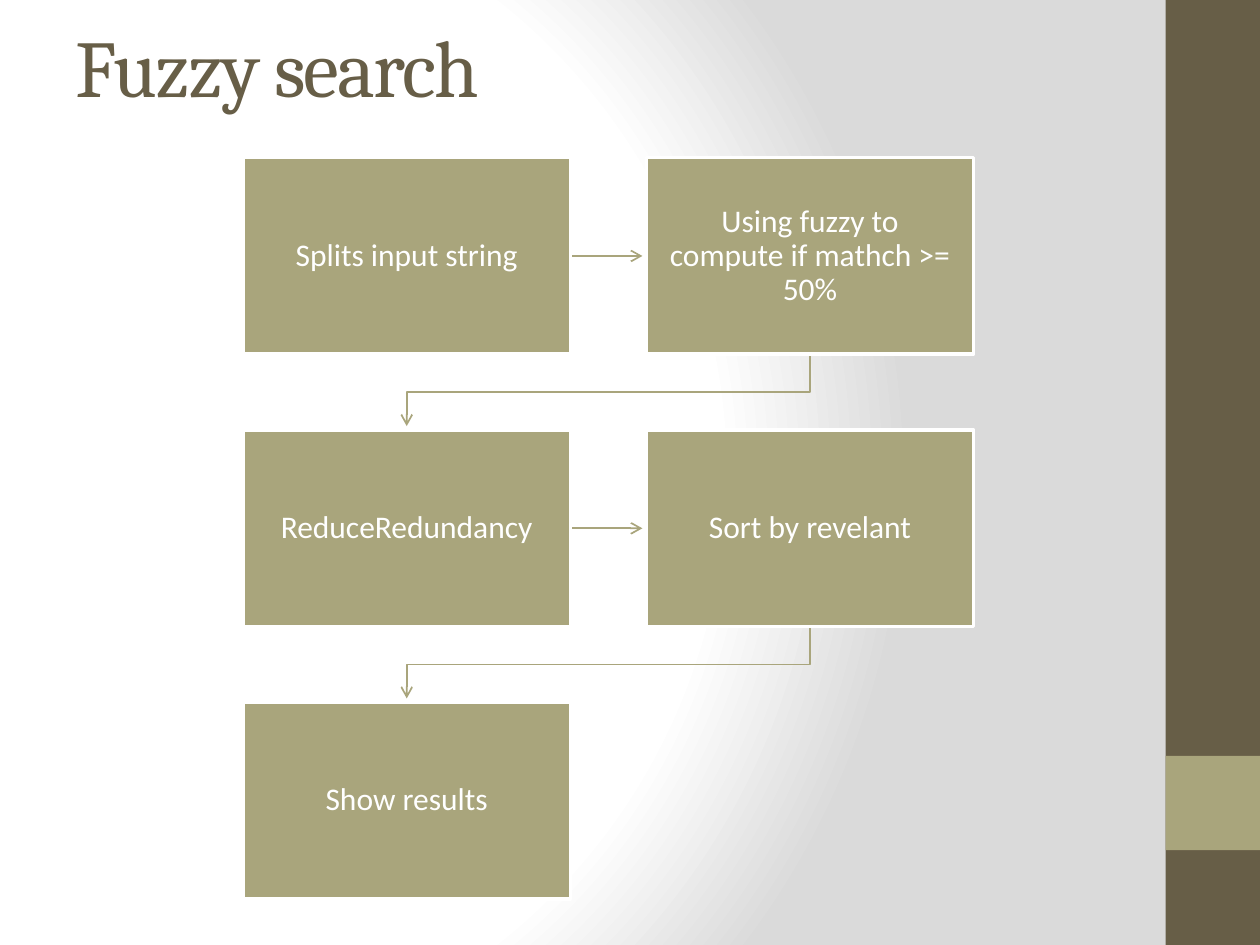
from dataclasses import dataclass
from itertools import pairwise

from pptx import Presentation
from pptx.dml.color import RGBColor
from pptx.enum.shapes import MSO_CONNECTOR, MSO_SHAPE
from pptx.enum.text import MSO_ANCHOR, PP_ALIGN
from pptx.oxml import parse_xml
from pptx.oxml.ns import nsdecls, qn
from pptx.oxml.xmlchemy import OxmlElement
from pptx.shapes.autoshape import Shape
from pptx.shapes.connector import Connector
from pptx.slide import Slide
from pptx.util import Cm, Pt

RECTANGLE = MSO_SHAPE.RECTANGLE
STRAIGHT = MSO_CONNECTOR.STRAIGHT
MIDDLE = MSO_ANCHOR.MIDDLE
CENTER, LEFT = PP_ALIGN.CENTER, PP_ALIGN.LEFT
RIGHT_SIDE = 3

BROWN, OLIVE, WHITE, GREY = "675E47", "A9A57C", "FFFFFF", "DADADA"
SLIDE_WIDTH, SLIDE_HEIGHT = Cm(25.4), Cm(19.05)
BAND_LEFT, BAND_WIDTH = Cm(23.5), Cm(1.9)
COLUMNS = 2
GRID_LEFT, GRID_TOP = Cm(4.9), Cm(3.18)
STEP_WIDTH, STEP_HEIGHT = Cm(6.6), Cm(3.96)
COLUMN_PITCH, ROW_PITCH = Cm(8.13), Cm(5.49)
ARROW_CLEARANCE = Cm(0.08)


@dataclass
class Step:
    text: str
    column: int
    row: int

    @property
    def left(self) -> int:
        return GRID_LEFT + self.column * COLUMN_PITCH

    @property
    def top(self) -> int:
        return GRID_TOP + self.row * ROW_PITCH

    @property
    def center(self) -> int:
        return self.left + STEP_WIDTH // 2

    @property
    def bottom(self) -> int:
        return self.top + STEP_HEIGHT


STEP_TEXTS = [
    "Splits input string",
    "Using fuzzy to compute if mathch >= 50%",
    "ReduceRedundancy",
    "Sort by revelant",
    "Show results",
]


def color(value: str) -> RGBColor:
    return RGBColor.from_string(value)


def paint_background(slide: Slide) -> None:
    slide.background.fill.gradient()
    gradient = slide.element.find(".//" + qn("a:gradFill"))
    stops = "".join(
        f'<a:gs pos="{percent * 1000}"><a:srgbClr val="{tone}"/></a:gs>'
        for percent, tone in [(0, WHITE), (75, WHITE), (100, GREY)]
    )
    radial = parse_xml(
        f'<a:gradFill rotWithShape="1" {nsdecls("a")}><a:gsLst>{stops}</a:gsLst>'
        '<a:path path="circle"><a:fillToRect l="20000" t="50000" r="100000" b="50000"/>'
        "</a:path></a:gradFill>"
    )
    gradient.getparent().replace(gradient, radial)


def add_rectangle(
    slide: Slide, left: int, top: int, width: int, height: int, fill: str
) -> Shape:
    rectangle = slide.shapes.add_shape(RECTANGLE, left, top, width, height)
    rectangle.shadow.inherit = False
    rectangle.fill.solid()
    rectangle.fill.fore_color.rgb = color(fill)
    rectangle.line.fill.background()
    return rectangle


def add_title(slide: Slide, text: str) -> None:
    title = slide.shapes.title
    title.left, title.top, title.width, title.height = Cm(1.27), Cm(0.2), Cm(21.16), Cm(2.24)
    title.text_frame.text = text
    title.text_frame.vertical_anchor = MIDDLE
    heading = title.text_frame.paragraphs[0]
    heading.alignment = LEFT
    heading.font.name = "Cambria"
    heading.font.size = Pt(46)
    heading.font.color.rgb = color(BROWN)
    heading.runs[0].font._element.set("spc", "-100")


def add_step(slide: Slide, step: Step) -> Shape:
    box = add_rectangle(slide, step.left, step.top, STEP_WIDTH, STEP_HEIGHT, OLIVE)
    box.line.color.rgb = color(WHITE)
    box.line.width = Pt(2)
    frame = box.text_frame
    frame.word_wrap = True
    frame.vertical_anchor = MIDDLE
    frame.margin_left = frame.margin_right = Cm(0.36)
    frame.margin_top = frame.margin_bottom = Cm(0.36)
    frame.text = step.text
    label = frame.paragraphs[0]
    label.alignment = CENTER
    label.line_spacing = 0.9
    label.space_after = Pt(6.3)
    label.font.name = "Calibri"
    label.font.size = Pt(18)
    label.font.color.rgb = color(WHITE)
    return box


def add_row_arrow(slide: Slide, source: Shape, target: Step) -> Connector:
    middle = target.top + STEP_HEIGHT // 2
    arrow = slide.shapes.add_connector(
        STRAIGHT, source.left + source.width, middle, target.left - ARROW_CLEARANCE, middle
    )
    arrow.begin_connect(source, RIGHT_SIDE)
    arrow._element.spPr.append(OxmlElement("a:effectLst"))
    return arrow


def add_return_arrow(slide: Slide, source: Step, target: Step) -> Shape:
    turn = (source.bottom + target.top) // 2
    builder = slide.shapes.build_freeform(source.center, source.bottom)
    builder.add_line_segments(
        [
            (source.center, turn),
            (target.center, turn),
            (target.center, target.top - ARROW_CLEARANCE),
        ],
        close=False,
    )
    arrow = builder.convert_to_shape()
    arrow.fill.background()
    arrow.shadow.inherit = False
    return arrow


def style_arrow(slide: Slide, arrow: Connector | Shape) -> None:
    arrow.line.color.rgb = color(OLIVE)
    arrow.line.width = Pt(1)
    tail = OxmlElement("a:tailEnd")
    tail.set("type", "arrow")
    arrow._element.spPr.find(qn("a:ln")).append(tail)
    slide.shapes._spTree.insert(2, arrow._element)


def main() -> None:
    presentation = Presentation()
    presentation.slide_width, presentation.slide_height = SLIDE_WIDTH, SLIDE_HEIGHT
    slide = presentation.slides.add_slide(presentation.slide_layouts[5])
    paint_background(slide)
    add_rectangle(slide, BAND_LEFT, 0, BAND_WIDTH, SLIDE_HEIGHT, BROWN)
    add_rectangle(slide, BAND_LEFT, Cm(15.24), BAND_WIDTH, BAND_WIDTH, OLIVE)
    add_title(slide, "Fuzzy search")

    steps = [
        Step(text, index % COLUMNS, index // COLUMNS)
        for index, text in enumerate(STEP_TEXTS)
    ]
    boxes = [add_step(slide, step) for step in steps]
    for (source, target), box in zip(pairwise(steps), boxes):
        if source.row == target.row:
            arrow = add_row_arrow(slide, box, target)
        else:
            arrow = add_return_arrow(slide, source, target)
        style_arrow(slide, arrow)

    presentation.save("out.pptx")


if __name__ == "__main__":
    main()
